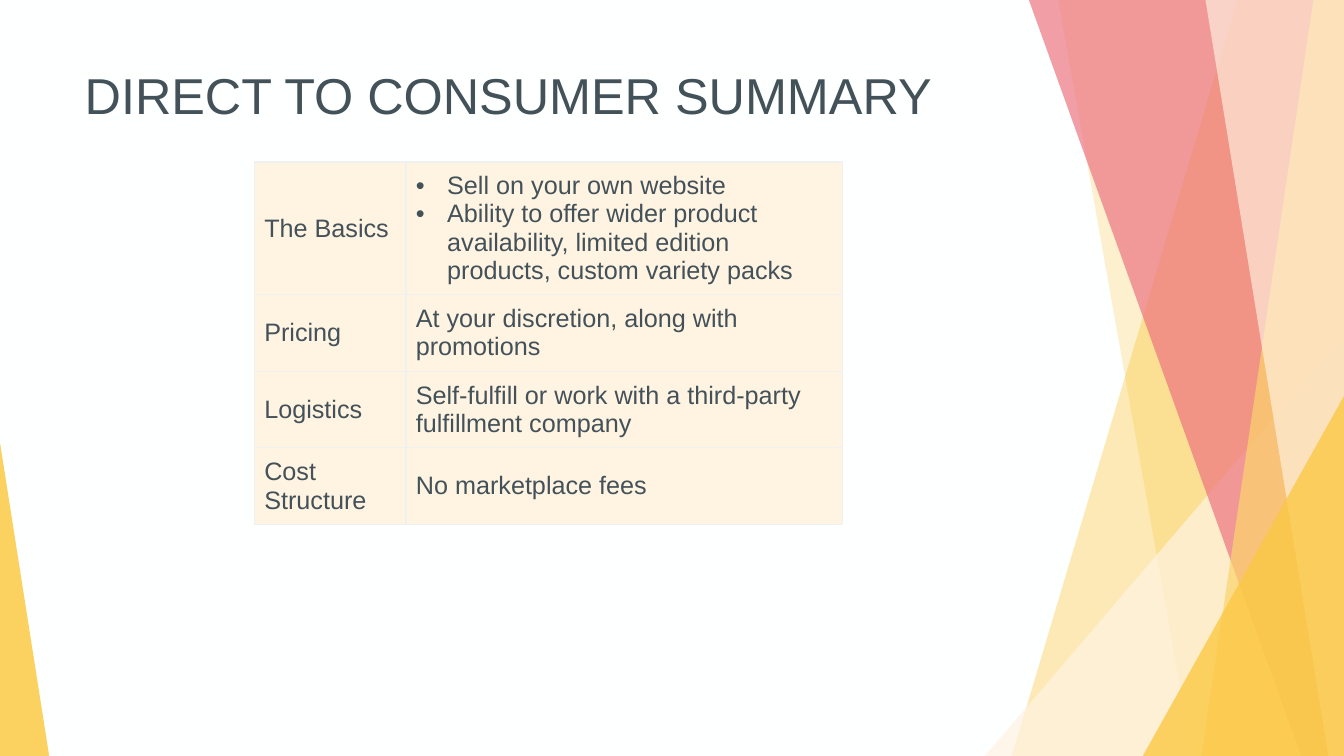
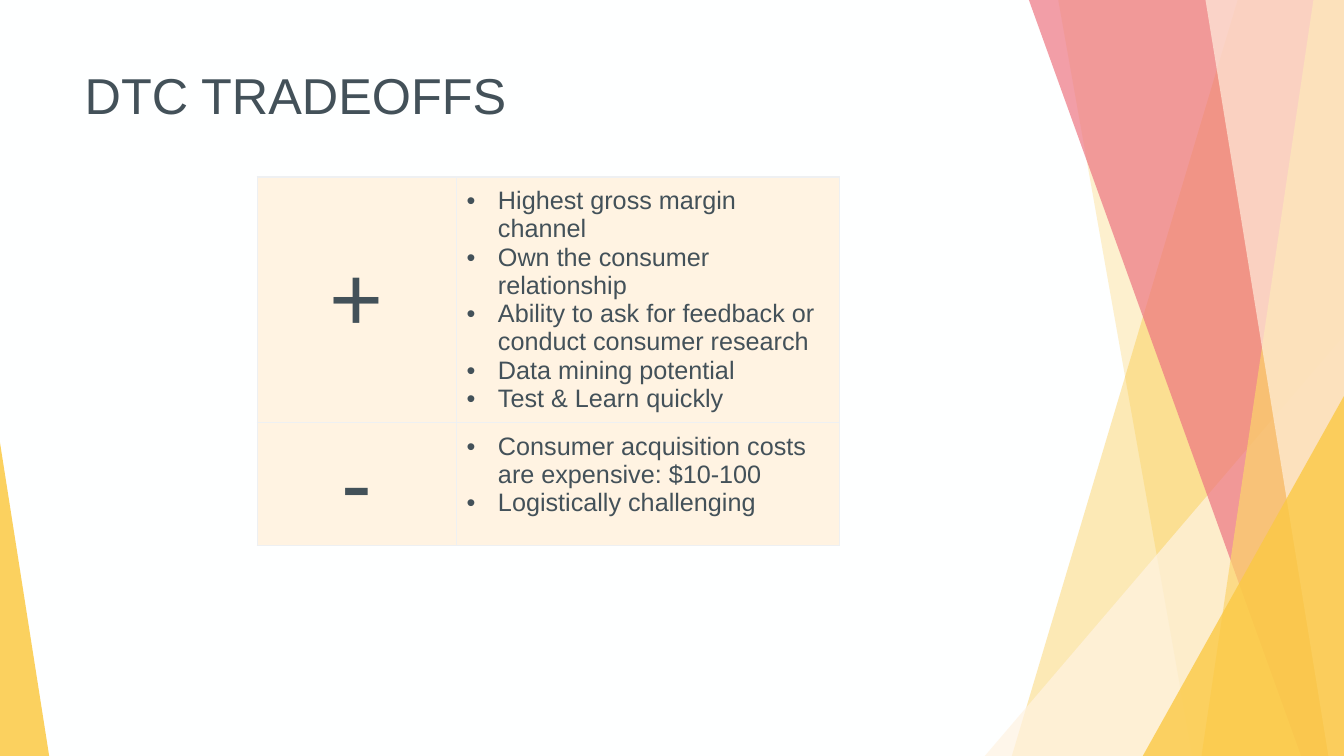
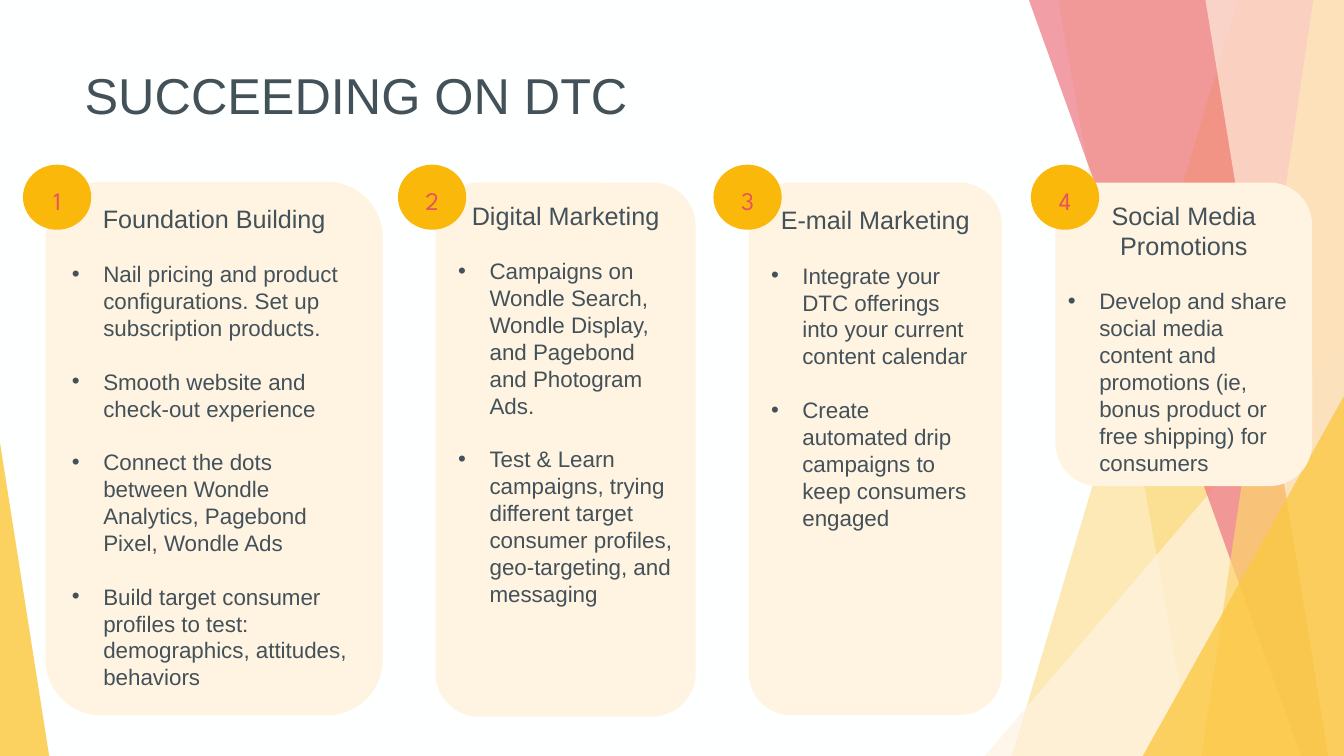
from dataclasses import dataclass

from lxml.etree import SubElement
from pptx import Presentation
from pptx.dml.color import RGBColor
from pptx.enum.shapes import MSO_SHAPE
from pptx.enum.text import MSO_ANCHOR, MSO_AUTO_SIZE, PP_ALIGN
from pptx.oxml.ns import qn
from pptx.util import Cm, Pt

TRIANGLE = MSO_SHAPE.ISOSCELES_TRIANGLE
ROUNDED = MSO_SHAPE.ROUNDED_RECTANGLE
OVAL = MSO_SHAPE.OVAL
TOP, MIDDLE = MSO_ANCHOR.TOP, MSO_ANCHOR.MIDDLE
LEFT, CENTER = PP_ALIGN.LEFT, PP_ALIGN.CENTER
NO_AUTOFIT = MSO_AUTO_SIZE.NONE
PAGE_WIDTH, PAGE_HEIGHT = 33.87, 19.05


@dataclass(frozen=True)
class Theme:
    paper: str = "FEFFFF"
    ink: str = "435159"
    cream: str = "FFF3E2"
    amber: str = "FAB80A"
    gold: str = "FBC944"
    straw: str = "FCD46C"
    rose: str = "ED7582"
    coral: str = "E95161"
    rule: str = "EEF0F2"
    font: str = "Arial"
    badge_font: str = "League Spartan"
    title_size: int = 36
    text_size: int = 18
    list_size: int = 16
    sign_size: int = 66


THEME = Theme()

BANDS = [
    ("band", 31.19, 25.5, THEME.amber, 30),
    ("band", 26.67, 30.05, THEME.amber, 20),
    ("corner", (24.82, 8.46, 9.05, 10.59), 1, THEME.cream, 72),
    ("band", 25.93, 32.79, THEME.rose, 70),
    ("band", 33.1, 30.28, THEME.straw, 70),
    ("band", 30.38, 33.48, THEME.cream, 65),
    ("corner", (28.8, 9.98, 5.07, 9.07), 1, THEME.gold, 80),
    ("corner", (0, 11.15, 1.24, 7.9), 0, THEME.gold, 85),
]

SUMMARY = [
    ("The Basics", [
        "Sell on your own website",
        "Ability to offer wider product availability, limited edition products, custom variety packs",
    ]),
    ("Pricing", "At your discretion, along with promotions"),
    ("Logistics", "Self-fulfill or work with a third-party fulfillment company"),
    ("Cost Structure", "No marketplace fees"),
]

TRADEOFFS = [
    ("", ""),
    ("+", [
        "Highest gross margin channel",
        "Own the consumer relationship",
        "Ability to ask for feedback or conduct consumer research",
        "Data mining potential",
        "Test & Learn quickly",
    ]),
    ("-", [
        "Consumer acquisition costs are expensive: $10-100",
        "Logistically challenging",
    ]),
]

STEPS = [
    ((1.15, 4.58, 8.5, 13.45), 0.58, (0.25, 0.13), "Foundation Building", [
        "Nail pricing and product configurations. Set up subscription products.",
        "Smooth website and check-out experience",
        "Connect the dots between Wondle Analytics, Pagebond Pixel, Wondle Ads",
        "Build target consumer profiles to test: demographics, attitudes, behaviors",
    ]),
    ((10.98, 4.6, 6.55, 13.46), 10.03, (0.25, 0.13), "Digital Marketing", [
        "Campaigns on Wondle Search, Wondle Display, and Pagebond and Photogram Ads.",
        "Test & Learn campaigns, trying different target consumer profiles, "
        "geo-targeting, and messaging",
    ]),
    ((18.87, 4.6, 6.38, 13.42), 17.98, (0.25, 0.25), "E-mail Marketing", [
        "Integrate your DTC offerings into your current content calendar",
        "Create automated drip campaigns to keep consumers engaged",
    ]),
    ((26.6, 4.6, 6.47, 7.65), 25.98, (0, 0.13), "Social Media Promotions", [
        "Develop and share social media content and promotions "
        "(ie, bonus product or free shipping) for consumers",
    ]),
]


def rgb(color):
    return RGBColor.from_string(color)


def paint(shape, color, opacity=100):
    shape.shadow.inherit = False
    shape.line.fill.background()
    shape.fill.solid()
    shape.fill.fore_color.rgb = rgb(color)
    if opacity < 100:
        tint = shape.element.spPr.find(qn("a:solidFill"))[0]
        SubElement(tint, qn("a:alpha"), val=str(opacity * 1000))


def add_shape(page, kind, box, color, opacity=100):
    shape = page.shapes.add_shape(kind, *map(Cm, box))
    paint(shape, color, opacity)
    return shape


def write(para, text, size=THEME.text_size, color=THEME.ink, font=THEME.font, align=LEFT):
    para.text = text
    para.alignment = align
    for span in para.runs:
        span.font.size = Pt(size)
        span.font.name = font
        span.font.color.rgb = rgb(color)


def add_bullet(para):
    properties = para._p.get_or_add_pPr()
    properties.set("marL", str(Cm(0.79)))
    properties.set("indent", str(-Cm(0.79)))
    SubElement(properties, qn("a:buFont"), typeface=THEME.font)
    SubElement(properties, qn("a:buChar"), char="•")


def set_margins(target, horizontal, vertical):
    target.margin_left = target.margin_right = Cm(horizontal)
    target.margin_top = target.margin_bottom = Cm(vertical)


def add_band(page, top_x, bottom_x, color, opacity):
    builder = page.shapes.build_freeform(Cm(top_x), 0)
    corners = [(PAGE_WIDTH, 0), (PAGE_WIDTH, PAGE_HEIGHT), (bottom_x, PAGE_HEIGHT)]
    builder.add_line_segments([(Cm(x), Cm(y)) for x, y in corners])
    shape = builder.convert_to_shape()
    paint(shape, color, opacity)
    return shape


def add_corner(page, box, apex, color, opacity):
    shape = add_shape(page, TRIANGLE, box, color, opacity)
    shape.adjustments[0] = apex
    return shape


def prepare_layout(layout):
    layout.background.fill.solid()
    layout.background.fill.fore_color.rgb = rgb(THEME.paper)
    for holder in list(layout.placeholders):
        if holder.placeholder_format.idx:
            holder.element.getparent().remove(holder.element)
    title = layout.placeholders[0]
    title.left, title.top, title.width, title.height = map(Cm, (1.88, 1.49, 23.88, 3.66))
    title.text_frame.vertical_anchor = TOP
    title.text_frame.auto_size = NO_AUTOFIT
    title.text_frame.word_wrap = True


def move_scenery_to_layout(page, layout):
    for kind, *details in BANDS:
        draw = add_band if kind == "band" else add_corner
        layout.shapes.element.append(draw(page, *details).element)


def add_page(deck, layout, title):
    page = deck.slides.add_slide(layout)
    write(page.shapes.title.text_frame.paragraphs[0], title, THEME.title_size)
    return page


def add_borders(cell, edge_color):
    properties = cell._tc.get_or_add_tcPr()
    for side in ("lnL", "lnR", "lnT", "lnB"):
        color = THEME.rule if side == "lnB" else edge_color
        line = SubElement(properties, qn(f"a:{side}"), w=str(Pt(1)))
        fill = SubElement(line, qn("a:solidFill"))
        SubElement(fill, qn("a:srgbClr"), val=color)


def fill_cell(cell, content, size, align):
    add_borders(cell, THEME.rule if content else THEME.paper)
    if not content:
        cell.fill.background()
        return
    cell.fill.solid()
    cell.fill.fore_color.rgb = rgb(THEME.cream)
    set_margins(cell, 0.25, 0.25)
    is_list = isinstance(content, list)
    cell.vertical_anchor = TOP if is_list else MIDDLE
    frame = cell.text_frame
    for index, text in enumerate(content if is_list else [content]):
        para = frame.add_paragraph() if index else frame.paragraphs[0]
        if is_list:
            add_bullet(para)
        write(para, text, size, align=align)


def add_fact_table(page, corner, widths, heights, facts, label_size, label_align):
    box = (*corner, sum(widths), sum(heights))
    table = page.shapes.add_table(len(facts), len(widths), *map(Cm, box)).table
    table.first_row = table.horz_banding = False
    for column, width in zip(table.columns, widths):
        column.width = Cm(width)
    for index, (label, content) in enumerate(facts):
        table.rows[index].height = Cm(heights[index])
        fill_cell(table.cell(index, 0), label, label_size, label_align)
        fill_cell(table.cell(index, 1), content, THEME.text_size, LEFT)


def add_card(page, box, margins, heading, items):
    frame = add_shape(page, ROUNDED, box, THEME.cream).text_frame
    frame.word_wrap = True
    frame.vertical_anchor = TOP
    set_margins(frame, *margins)
    write(frame.paragraphs[0], heading, align=CENTER)
    for item in items:
        para = frame.add_paragraph()
        add_bullet(para)
        write(para, item, THEME.list_size)
        para.space_before = Pt(19.2)


def add_badge(page, left, number):
    frame = add_shape(page, OVAL, (left, 4.15, 1.72, 1.64), THEME.amber).text_frame
    frame.vertical_anchor = MIDDLE
    para = frame.paragraphs[0]
    write(para, str(number), color=THEME.coral, font=THEME.badge_font, align=CENTER)
    para.line_spacing = 1.2


def main():
    deck = Presentation()
    deck.slide_width, deck.slide_height = Cm(PAGE_WIDTH), Cm(PAGE_HEIGHT)
    layout = deck.slide_layouts[5]
    prepare_layout(layout)

    summary = add_page(deck, layout, "DIRECT TO CONSUMER SUMMARY")
    move_scenery_to_layout(summary, layout)
    add_fact_table(summary, (6.41, 4.08), (3.82, 11), (3.33, 1.93, 1.93, 1.93),
                   SUMMARY, THEME.text_size, LEFT)

    tradeoffs = add_page(deck, layout, "DTC TRADEOFFS")
    add_fact_table(tradeoffs, (6.48, 3.3), (5.03, 9.65), (1.16, 6.18, 3.1),
                   TRADEOFFS, THEME.sign_size, CENTER)

    success = add_page(deck, layout, "SUCCEEDING ON DTC")
    for number, (box, badge_left, margins, heading, items) in enumerate(STEPS, 1):
        add_card(success, box, margins, heading, items)
        add_badge(success, badge_left, number)

    deck.save("out.pptx")


if __name__ == "__main__":
    main()
